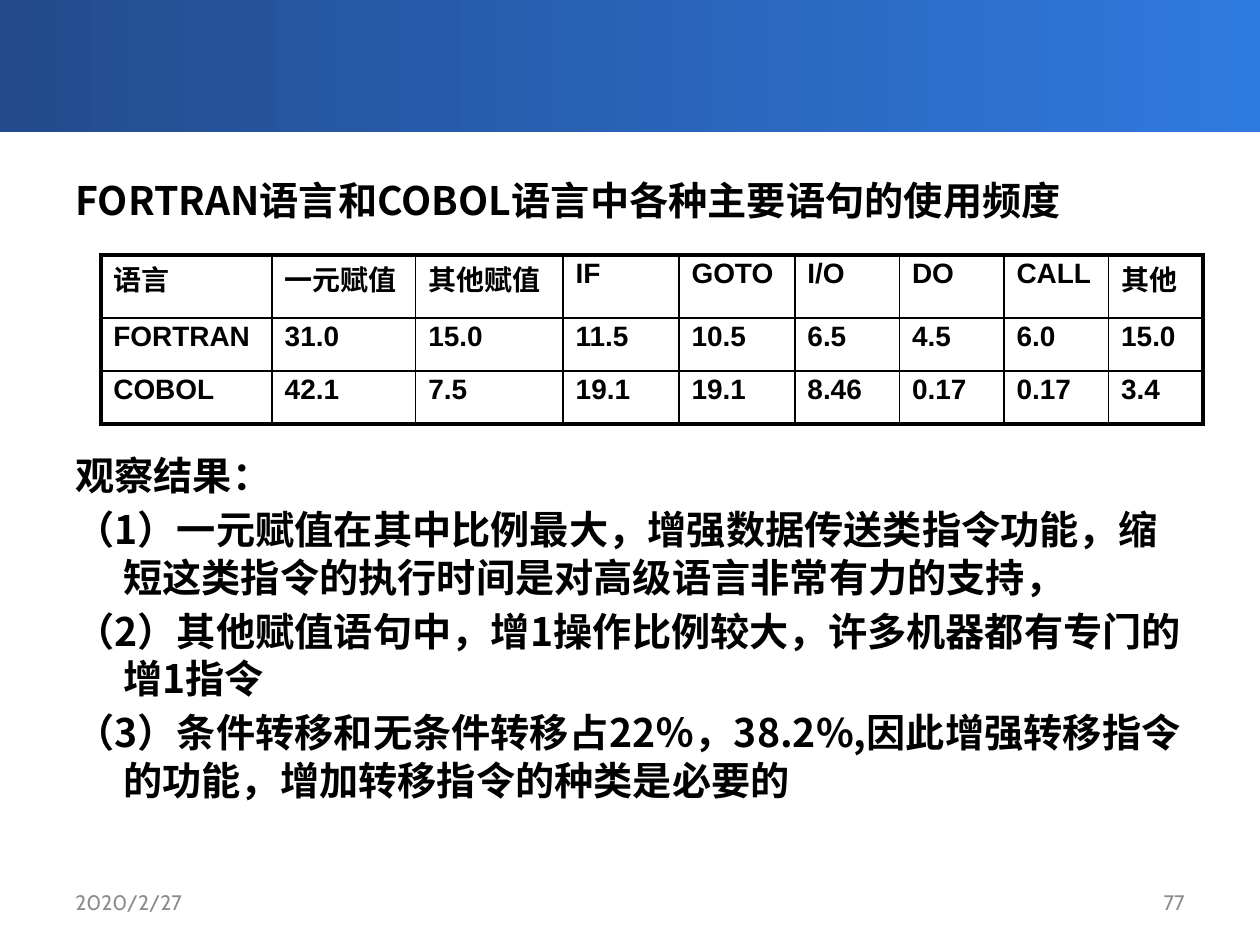
from lxml.etree import SubElement
from pptx import Presentation
from pptx.dml.color import RGBColor
from pptx.enum.shapes import MSO_SHAPE as Shape
from pptx.enum.text import MSO_ANCHOR as Anchor, PP_ALIGN as Align
from pptx.oxml.ns import qn
from pptx.util import Inches, Pt

BLACK = RGBColor(0x00, 0x00, 0x00)
GREY = RGBColor(0x8C, 0x8C, 0x8C)
NAVY = RGBColor(0x23, 0x4B, 0x8D)
BLUE = RGBColor(0x2F, 0x7A, 0xDF)

WIDTH, HEIGHT = 10, 7.5
HAN_FONT = "Noto Sans CJK SC"
THIN, THICK = 1, 2.25

TITLE = "FORTRAN语言和COBOL语言中各种主要语句的使用频度"
FINDINGS = [
    "（1）一元赋值在其中比例最大，增强数据传送类指令功能，缩短这类指令的执行时间是对高级语言非常有力的支持，",
    "（2）其他赋值语句中，增1操作比例较大，许多机器都有专门的增1指令",
    "（3）条件转移和无条件转移占22％，38.2%,因此增强转移指令的功能，增加转移指令的种类是必要的",
]
# Each body paragraph with the space before it, in points; the table sits in the large gap.
BODY = [(TITLE, 2), ("观察结果：", 130)] + [(finding, 4) for finding in FINDINGS]

FREQUENCIES = [
    ["语言", "一元赋值", "其他赋值", "IF", "GOTO", "I/O", "DO", "CALL", "其他"],
    ["FORTRAN", "31.0", "15.0", "11.5", "10.5", "6.5", "4.5", "6.0", "15.0"],
    ["COBOL", "42.1", "7.5", "19.1", "19.1", "8.46", "0.17", "0.17", "3.4"],
]
COLUMN_WIDTHS = [1.36, 1.14, 1.17, 0.92, 0.92, 0.83, 0.83, 0.83, 0.75]
ROW_HEIGHTS = [0.5, 0.42, 0.42]


class SlideBuilder:
    def __init__(self, slide):
        self.slide = slide

    def box(self, left, top, width, height):
        """Turn shares of the slide's size into lengths."""
        return (Inches(left * WIDTH), Inches(top * HEIGHT),
                Inches(width * WIDTH), Inches(height * HEIGHT))

    def style(self, paragraph, text, font_name, size, color, bold=False):
        run = paragraph.add_run()
        run.text = text
        font = paragraph.font
        font.name, font.size, font.bold = font_name, Pt(size), bold
        font.color.rgb = color
        # East Asian characters take their own typeface.
        for properties in (font._element, run.font._element):
            SubElement(properties, qn("a:ea"), typeface=HAN_FONT)

    def banner(self, *shares):
        shape = self.slide.shapes.add_shape(Shape.RECTANGLE, *self.box(*shares))
        shape.shadow.inherit = False
        shape.line.fill.background()
        shape.fill.gradient()
        shape.fill.gradient_angle = 0
        for stop, color in zip(shape.fill.gradient_stops, (NAVY, BLUE)):
            stop.color.rgb = color

    def text_frame(self, *shares, anchor=Anchor.TOP):
        frame = self.slide.shapes.add_textbox(*self.box(*shares)).text_frame
        frame.word_wrap = True
        frame.vertical_anchor = anchor
        return frame

    def body(self, items, *shares):
        frame = self.text_frame(*shares)
        for index, (text, space_before) in enumerate(items):
            paragraph = frame.add_paragraph() if index else frame.paragraphs[0]
            self.style(paragraph, text, HAN_FONT, 22.4, BLACK, bold=True)
            paragraph.space_before = Pt(space_before)
            paragraph.line_spacing = Pt(27)
            properties = paragraph._p.get_or_add_pPr()
            properties.set("marL", str(Inches(0.38)))
            properties.set("indent", str(Inches(-0.38)))

    def footer(self, text, align, *shares):
        paragraph = self.text_frame(*shares, anchor=Anchor.MIDDLE).paragraphs[0]
        self.style(paragraph, text, "Cabin", 12, GREY)
        paragraph.alignment = align

    def border(self, cell, outer_sides):
        """Rule all four sides of a cell, thick where the side is on the table's edge."""
        properties = cell._tc.get_or_add_tcPr()
        for side in "LRTB":
            weight = THICK if side in outer_sides else THIN
            line = SubElement(properties, qn(f"a:ln{side}"), w=str(Pt(weight)))
            fill = SubElement(line, qn("a:solidFill"))
            SubElement(fill, qn("a:srgbClr"), val=str(BLACK))

    def table(self, rows, column_widths, row_heights, left, top):
        shares = (left, top, sum(column_widths) / WIDTH, sum(row_heights) / HEIGHT)
        table = self.slide.shapes.add_table(
            len(rows), len(column_widths), *self.box(*shares)).table
        table.first_row = table.horz_banding = False
        for column, width in zip(table.columns, column_widths):
            column.width = Inches(width)
        for row, height in zip(table.rows, row_heights):
            row.height = Inches(height)
        last_row, last_column = len(rows) - 1, len(column_widths) - 1
        for i, row in enumerate(rows):
            for j, text in enumerate(row):
                cell = table.cell(i, j)
                edges = {"L": j == 0, "R": j == last_column, "T": i == 0, "B": i == last_row}
                self.border(cell, [side for side, outer in edges.items() if outer])
                cell.fill.background()
                paragraph = cell.text_frame.paragraphs[0]
                self.style(paragraph, text, "Arial", 16, BLACK, bold=True)
                paragraph.line_spacing = 0.9


def main():
    presentation = Presentation()
    presentation.slide_width, presentation.slide_height = Inches(WIDTH), Inches(HEIGHT)
    builder = SlideBuilder(presentation.slides.add_slide(presentation.slide_layouts[6]))
    builder.banner(0, 0, 1, 0.14)
    builder.body(BODY, 0.05, 0.18, 0.9, 0.74)
    builder.footer("2020/2/27", Align.LEFT, 0.05, 0.93, 0.23, 0.05)
    builder.footer("77", Align.RIGHT, 0.72, 0.93, 0.23, 0.05)
    builder.table(FREQUENCIES, COLUMN_WIDTHS, ROW_HEIGHTS, 0.08, 0.27)
    presentation.save("out.pptx")


if __name__ == "__main__":
    main()
